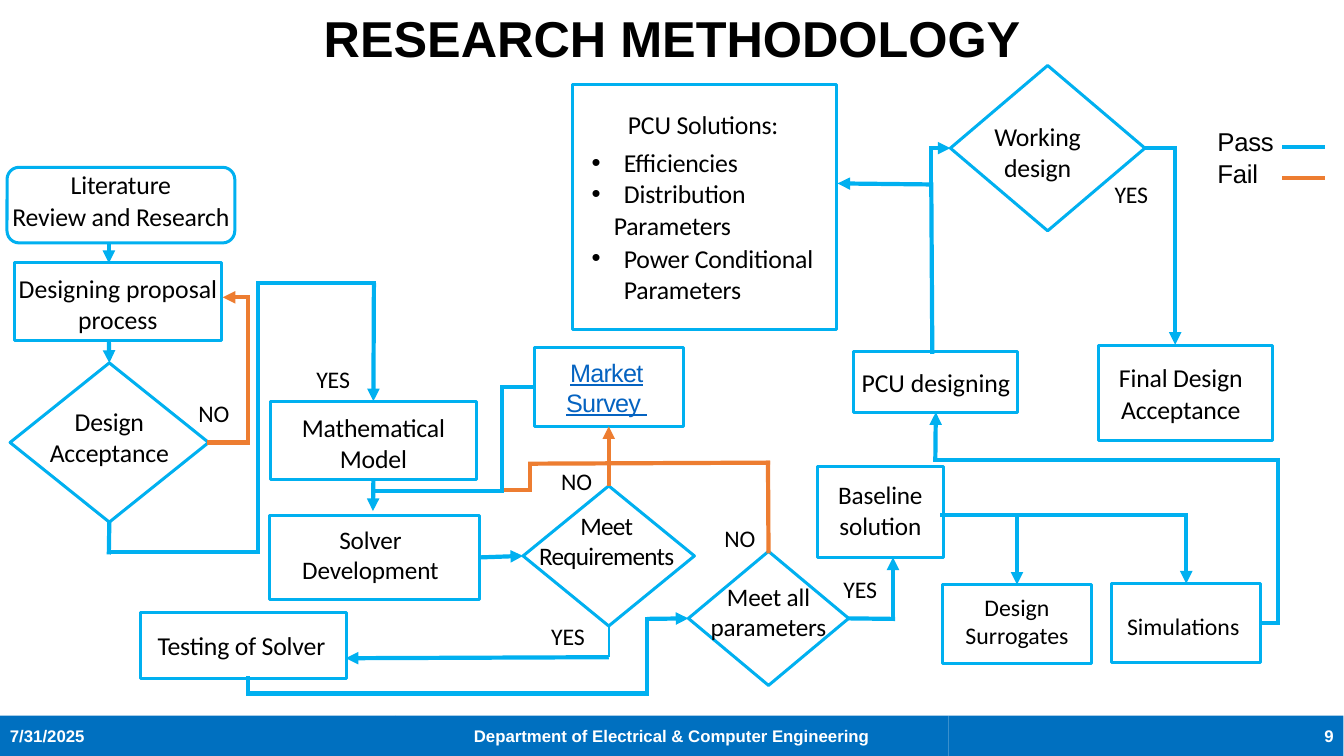
from dataclasses import dataclass
from itertools import pairwise

from lxml.etree import SubElement
from pptx import Presentation
from pptx.dml.color import RGBColor
from pptx.enum.shapes import MSO_CONNECTOR, MSO_SHAPE as SHAPE
from pptx.enum.text import MSO_ANCHOR as ANCHOR, PP_ALIGN as ALIGN
from pptx.oxml.ns import qn
from pptx.util import Cm, Pt


@dataclass(frozen=True)
class Theme:
    pass_line = RGBColor(0x00, 0xB0, 0xF0)
    fail_line = RGBColor(0xED, 0x7D, 0x31)
    bar = RGBColor(0x00, 0x70, 0xC0)
    link = RGBColor(0x05, 0x63, 0xC1)
    ink = RGBColor(0, 0, 0)
    paper = RGBColor(255, 255, 255)
    body, head = "Calibri", "Arial"
    title, step, step_small, label, footer = Pt(36), Pt(18.4), Pt(18), Pt(17), Pt(12)
    border, flow, thin = Pt(2.16), Pt(3), Pt(1.5)


T = Theme()
GLUE = Cm(0.06)


def u(value):
    """Length of a number of layout units, 2.54 cm each."""
    return Cm(value * 2.54)


def write(tf, text, align=ALIGN.CENTER, spacing=1.0, tracking=0, **font):
    """Fill a frame; \\n starts a paragraph and \\v breaks a line."""
    tf.text = text
    look = {"name": T.body, "size": T.step} | font
    color = look.pop("color", T.ink)
    for p in tf.paragraphs:
        p.alignment, p.line_spacing = align, spacing
        for r in p.runs:
            for key, value in look.items():
                setattr(r.font, key, value)
            r.font.color.rgb = color
            r.font._element.set("spc", str(tracking))


def set_margins(tf, left=0, top=0, right=0, bottom=0):
    for side, value in zip(("left", "top", "right", "bottom"), (left, top, right, bottom)):
        setattr(tf, f"margin_{side}", u(value))


class Region:
    """Part of the slide; its places count from its own corner."""
    nodes = []

    def __init__(self, s, x, y):
        self.shapes, self.x, self.y = s.shapes, x, y

    def box(self, x, y, w, h):
        return u(self.x + x), u(self.y + y), u(w), u(h)

    def node(self, kind, box, text="", dx=0, dy=0, **style):
        """Outlined step whose text sits dx, dy away from its centre."""
        sp = self.shapes.add_shape(kind, *self.box(*box))
        sp.shadow.inherit = False
        sp.fill.background()
        sp.line.color.rgb, sp.line.width = T.pass_line, T.border
        tf = sp.text_frame
        tf.word_wrap, tf.vertical_anchor = False, ANCHOR.MIDDLE
        set_margins(tf, max(2 * dx, 0), max(2 * dy, 0), max(-2 * dx, 0), max(-2 * dy, 0))
        write(tf, text, **({"tracking": -10} | style))
        self.nodes.append(sp)
        return sp

    def label(self, x, y, text):
        tf = self.shapes.add_textbox(*self.box(x, y, 0.63, 0.39)).text_frame
        tf.word_wrap = True
        write(tf, text, ALIGN.LEFT, 1.02, -10, size=T.label)

    def site(self, x, y):
        """Step and side number whose middle lies at a point, if any."""
        for sp in self.nodes:
            cx, cy = sp.left + sp.width / 2, sp.top + sp.height / 2
            sides = ((cx, sp.top), (sp.left, cy), (cx, sp.top + sp.height), (sp.left + sp.width, cy))
            for i, (sx, sy) in enumerate(sides):
                if max(abs(sx - x), abs(sy - y)) < GLUE:
                    return sp, i
        return None

    def flow(self, *points, color=T.pass_line, width=T.flow, arrow=True):
        """Straight connectors through the points, joined to steps at the ends."""
        spots = [(u(self.x + x), u(self.y + y)) for x, y in points]
        for i, (a, b) in enumerate(pairwise(spots)):
            last = i == len(spots) - 2
            c = self.shapes.add_connector(MSO_CONNECTOR.STRAIGHT, *a, *b)
            if i == 0 and (site := self.site(*a)):
                c.begin_connect(*site)
            if last and (site := self.site(*b)):
                c.end_connect(*site)
            c.line.color.rgb, c.line.width = color, width
            SubElement(c._element.spPr, qn("a:effectLst"))
            ln = c.line._get_or_add_ln()
            if last and arrow:
                SubElement(ln, qn("a:tailEnd"), type="triangle")
            elif len(spots) > 2:
                ln.set("cap", "sq")


def heading(s, x, y, w, h):
    sp = s.shapes.title
    sp.left, sp.top, sp.width, sp.height = u(x), u(y), u(w), u(h)
    sp.text_frame.vertical_anchor = ANCHOR.MIDDLE
    write(sp.text_frame, "RESEARCH METHODOLOGY", spacing=0.9, name=T.head, size=T.title, bold=True)


def solutions(area, x, y, w, h):
    sp = area.node(SHAPE.RECTANGLE, (x, y, w, h),
                   "PCU Solutions:\nEfficiencies\nDistribution\nParameters\nPower Conditional Parameters",
                   align=ALIGN.LEFT)
    tf = sp.text_frame
    tf.word_wrap, tf.vertical_anchor = True, ANCHOR.TOP
    set_margins(tf, 0.17, 0.24)
    # left margin, first-line indent, space before, bullet
    formats = ((0.38, 0, 0, False), (0.34, -0.32, 5, True), (0.34, -0.32, 0.4, True),
               (0.24, 0, 0.4, False), (0.34, -0.32, 0.8, True))
    for p, (left, indent, before, bullet) in zip(tf.paragraphs, formats):
        p.space_before = Pt(before)
        pPr = p._p.get_or_add_pPr()
        pPr.set("marL", str(u(left)))
        pPr.set("indent", str(u(indent)))
        if bullet:
            SubElement(pPr, qn("a:buFont"), typeface=T.head)
            SubElement(pPr, qn("a:buChar"), char="•")
    tf.paragraphs[-1].line_spacing = Pt(22.5)


def pcu_stage(s, x, y):
    area = Region(s, x, y)
    solutions(area, 0.68, 0.84, 2.62, 2.43)
    area.node(SHAPE.DIAMOND, (4.43, 0.65, 1.93, 1.64), "Working\ndesign", dx=-0.1, dy=0.03, spacing=1.02)
    area.node(SHAPE.RECTANGLE, (3.47, 3.49, 1.63, 0.6), "PCU designing", tracking=0)
    area.node(SHAPE.RECTANGLE, (5.9, 3.43, 1.73, 0.94), "Final Design\vAcceptance", dx=-0.05, spacing=1.02)
    area.flow((4.25, 3.49), (4.24, 1.83), (3.31, 1.82))
    area.flow((4.24, 1.83), (4.24, 1.47), (4.43, 1.47))
    area.flow((6.36, 1.47), (6.66, 1.47), (6.66, 3.42))
    area.label(5.96, 1.73, "YES")


def parameter_stage(s, x, y):
    area = Region(s, x, y)
    area.node(SHAPE.DIAMOND, (0.83, 1.47, 1.59, 1.33), "Meet all\vparameters", dy=-0.07, size=T.step_small)
    area.node(SHAPE.RECTANGLE, (2.11, 0.63, 1.25, 0.9), "Baseline\vsolution", dy=-0.02, size=T.step_small)
    area.node(SHAPE.RECTANGLE, (3.35, 1.8, 1.48, 0.78), "Design\vSurrogates", dy=-0.03,
              size=T.label, tracking=0)
    area.node(SHAPE.RECTANGLE, (5.03, 1.79, 1.48, 0.78), "Simulations", dx=-0.03, dy=0.03,
              size=T.label, tracking=0)
    area.flow((1.62, 1.47), (1.62, 0.59), (-0.74, 0.6), (-0.74, 0.86), (-1.02, 0.86),
              color=T.fail_line, arrow=False)
    area.flow((2.42, 2.14), (2.86, 2.14), (2.86, 1.53))
    for branch in (4.09, 5.77):
        area.flow((3.35, 1.11), (branch, 1.11), (branch, 1.8))
    area.flow((6.51, 2.18), (6.68, 2.18), (6.68, 0.56), (3.28, 0.56), (3.28, 0.09))
    area.label(1.09, 1.14, "NO")
    area.label(2.27, 1.65, "YES")


def solver_stage(s, x, y):
    area = Region(s, x, y)
    area.node(SHAPE.RECTANGLE, (1.68, 0.98, 2.05, 0.78), "Mathematical\nModel", dy=0.02, spacing=1.02)
    area.node(SHAPE.RECTANGLE, (1.67, 2.11, 2.09, 0.84), "Solver\vDevelopment", dx=-0.04, dy=-0.03,
              size=T.step_small)
    area.node(SHAPE.RECTANGLE, (0.39, 3.08, 2.05, 0.65), "Testing of Solver", dx=-0.02)
    area.node(SHAPE.DIAMOND, (4.19, 1.82, 1.7, 1.39), "Meet\nRequirements", dx=-0.02, dy=-0.15,
              size=T.step_small, tracking=-50)
    area.node(SHAPE.RECTANGLE, (4.3, 0.45, 1.48, 0.78), "Market\vSurvey ", dx=-0.02, name=T.head,
              size=T.step_small, color=T.link, underline=True, tracking=-50)
    area.flow((2.7, 1.78), (2.7, 2.07))
    area.flow((4.3, 0.84), (3.98, 0.84), (3.98, 1.87), (2.7, 1.87), arrow=False)
    area.flow((3.76, 2.53), (4.19, 2.52))
    area.flow((5.04, 1.82), (5.04, 1.23), color=T.fail_line)
    area.flow((5.04, 3.21), (5.04, 3.52), width=T.thin, arrow=False)
    area.flow((5.04, 3.52), (2.43, 3.53))
    area.flow((1.46, 3.73), (1.46, 3.88), (5.42, 3.88), (5.42, 3.14), (5.83, 3.14))
    area.label(4.47, 1.58, "NO")
    area.label(4.37, 3.11, "YES")


def proposal_stage(s, x, y):
    area = Region(s, x, y)
    start = area.node(SHAPE.ROUNDED_RECTANGLE, (0.07, 0.66, 2.26, 0.75), "Literature\nReview and Research",
                      dy=-0.05, spacing=1.02)
    start.adjustments[0] = 0.16
    area.node(SHAPE.RECTANGLE, (0.14, 1.6, 2.06, 0.78), "Designing proposal\nprocess", dy=0.02,
              spacing=1.02, tracking=0)
    area.node(SHAPE.DIAMOND, (0.1, 2.6, 1.97, 1.58), "Design\vAcceptance", dy=-0.06)
    for top, bottom in ((1.41, 1.61), (2.38, 2.6)):
        area.flow((1.08, top), (1.08, bottom))
    area.flow((2.07, 3.39), (2.46, 3.39), (2.46, 1.95), (2.21, 1.95), color=T.fail_line)
    area.flow((1.08, 4.18), (1.08, 4.48), (2.56, 4.48), (2.56, 1.81), (3.71, 1.81), (3.71, 2.98))
    area.label(1.87, 2.9, "NO")
    area.label(3.04, 2.56, "YES")


def legend(s, x, y):
    area = Region(s, x, y)
    tf = s.shapes.add_textbox(*area.box(0, 0, 0.64, 0.63)).text_frame
    tf.word_wrap = True
    set_margins(tf, 0.02)
    write(tf, "Pass\vFail", ALIGN.LEFT, 1.05, -20, name=T.head)
    for row, color in ((0.23, T.pass_line), (0.54, T.fail_line)):
        area.flow((0.66, row), (1.09, row), color=color, arrow=False)


def footer(s, x, y, w, h):
    side, middle = 3.92, w - 2 * 3.92
    cells = ((0, side, "7/31/2025", ALIGN.LEFT),
             (side, middle, "Department of Electrical & Computer Engineering", ALIGN.CENTER),
             (side + middle, side, "9", ALIGN.RIGHT))
    for left, width, text, align in cells:
        sp = s.shapes.add_shape(SHAPE.RECTANGLE, u(x + left), u(y), u(width), u(h))
        sp.shadow.inherit = False
        sp.fill.solid()
        sp.fill.fore_color.rgb = T.bar
        sp.line.fill.background()
        sp.text_frame.vertical_anchor = ANCHOR.MIDDLE
        write(sp.text_frame, text, align, name=T.head, size=T.footer, bold=True, color=T.paper)


def main():
    prs = Presentation()
    prs.slide_width, prs.slide_height = Cm(33.87), Cm(19.05)
    s = prs.slides.add_slide(prs.slide_layouts[5])
    heading(s, 0.92, 0.15, 11.5, 0.51)
    footer(s, 0, 7.1, 13.33, 0.4)
    pcu_stage(s, 5, 0)
    parameter_stage(s, 6, 4)
    solver_stage(s, 1, 3)
    proposal_stage(s, 0, 1)
    legend(s, 12.06, 1.23)
    prs.save("out.pptx")


if __name__ == "__main__":
    main()
